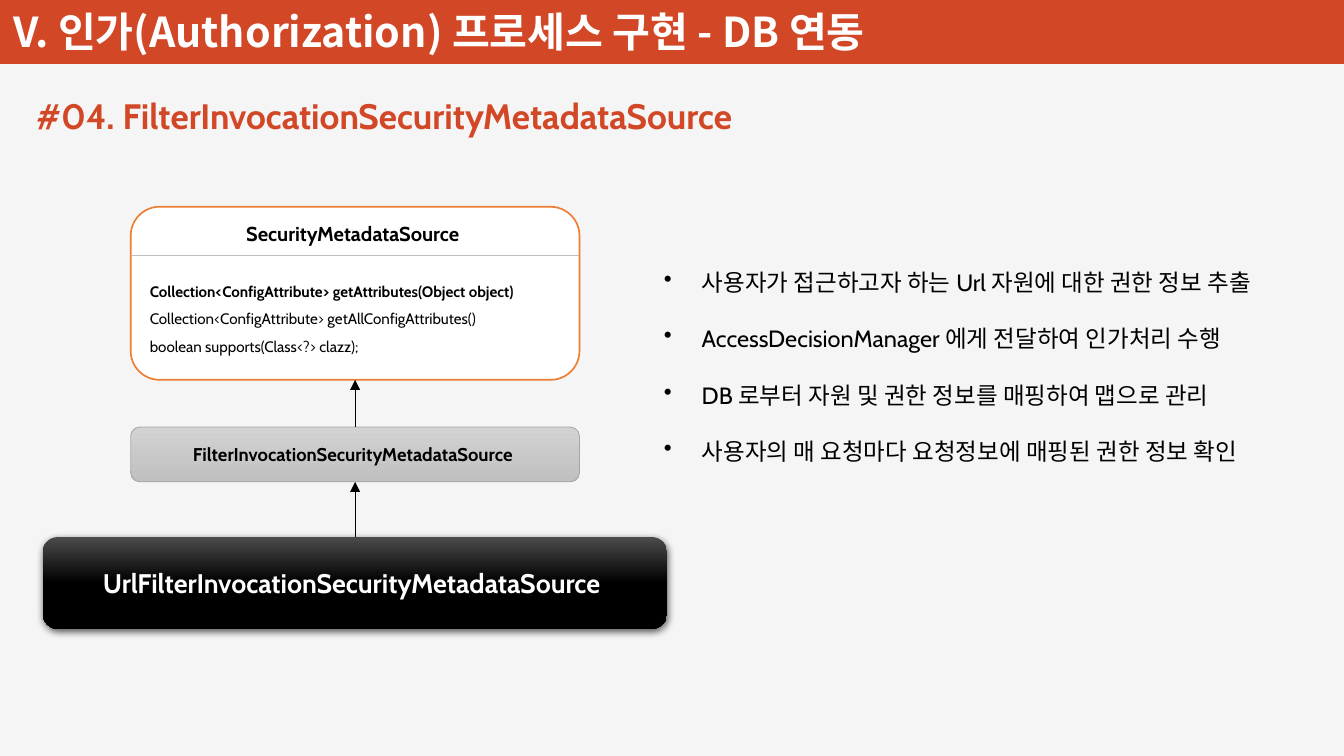
"""Build the slide on the FilterInvocationSecurityMetadataSource hierarchy."""
from lxml import etree
from pptx import Presentation
from pptx.dml.color import RGBColor
from pptx.enum.shapes import MSO_CONNECTOR, MSO_SHAPE
from pptx.enum.text import MSO_ANCHOR, MSO_AUTO_SIZE, PP_ALIGN
from pptx.oxml.ns import qn
from pptx.util import Pt

RECT, ROUNDED = MSO_SHAPE.RECTANGLE, MSO_SHAPE.ROUNDED_RECTANGLE
STRAIGHT = MSO_CONNECTOR.STRAIGHT
TOP, MIDDLE, BOTTOM = MSO_ANCHOR.TOP, MSO_ANCHOR.MIDDLE, MSO_ANCHOR.BOTTOM
LEFT, CENTER = PP_ALIGN.LEFT, PP_ALIGN.CENTER
FIXED = MSO_AUTO_SIZE.NONE

TITLE = "V. 인가(Authorization) 프로세스 구현 - DB 연동"
HEADING = "#04. FilterInvocationSecurityMetadataSource"
INTERFACE = "SecurityMetadataSource "
KEY_METHOD = "Collection<ConfigAttribute> getAttributes(Object object)"
OTHER_METHODS = [
    "Collection<ConfigAttribute> getAllConfigAttributes()",
    "boolean supports(Class<?> clazz);",
]
SUB_INTERFACE = "FilterInvocationSecurityMetadataSource "
IMPLEMENTATION = "UrlFilterInvocationSecurityMetadataSource "
DUTIES = [
    "사용자가 접근하고자 하는 Url 자원에 대한 권한 정보 추출",
    "AccessDecisionManager 에게 전달하여 인가처리 수행",
    "DB 로부터 자원 및 권한 정보를 매핑하여 맵으로 관리",
    "사용자의 매 요청마다 요청정보에 매핑된 권한 정보 확인",
]

THEME = {
    "latin": "Cabin", "korean": "Noto Sans CJK KR",
    "page": "F5F5F5", "accent": "D24726", "white": "FFFFFF", "ink": "000000",
    "outline": "ED7D31", "rule": "BFBFBF", "edge": "A5A5A5",
    "silver": [(0, "D2D2D2"), (1, "C0C0C0")],
    "coal": [(0, "4B4B4B"), (0.5, "000000")],
    "title": 24.5, "heading": 21, "implementation": 16, "duty": 14,
    "interface": 12, "sub": 11, "method": 9,
}

WIDTH, HEIGHT, BAND = 800, 450, 38
AXIS = 211.4
INTERFACE_BOX = (77.8, 123.1, 267.1, 103)
SUB_BOX = (77.8, 254.2, 267.1, 32.6)
IMPLEMENTATION_BOX = (25.4, 319.7, 371.6, 54.7)
RULE_Y = 151.9


def color(name):
    return RGBColor.from_string(THEME.get(name, name))


def apply(target, values):
    for key, value in values.items():
        setattr(target, key, value)


def write(frame, lines, size, ink="ink", bold=False, latin="latin",
          align=LEFT, spacing=None, bullet=False, **frame_values):
    apply(frame, {"word_wrap": True, "auto_size": FIXED,
                  "vertical_anchor": TOP, **frame_values})
    for line in lines:
        fresh = not frame.paragraphs[0].runs
        paragraph = frame.paragraphs[0] if fresh else frame.add_paragraph()
        apply(paragraph, {"alignment": align, "line_spacing": spacing})
        if bullet:
            properties = paragraph._p.get_or_add_pPr()
            properties.set("marL", str(Pt(22.5)))
            properties.set("indent", str(Pt(-22.5)))
            etree.SubElement(properties, qn("a:buChar"), char="•")
        run = paragraph.add_run()
        run.text = line
        apply(run.font, {"size": Pt(THEME[size]), "bold": bold, "name": THEME[latin]})
        run.font.color.rgb = color(ink)
        east_asian = etree.Element(qn("a:ea"), typeface=THEME["korean"])
        run.font._element.find(qn("a:latin")).addnext(east_asian)


def add_box(slide, kind, place, fill, line=None, weight=0.5):
    box = slide.shapes.add_shape(kind, *map(Pt, place))
    box.shadow.inherit = False
    if isinstance(THEME[fill], list):
        box.fill.gradient()
        box.fill.gradient_angle = 270
        for stop, (position, shade) in zip(box.fill.gradient_stops, THEME[fill]):
            stop.position = position
            stop.color.rgb = color(shade)
    else:
        box.fill.solid()
        box.fill.fore_color.rgb = color(fill)
    if line:
        box.line.color.rgb = color(line)
        box.line.width = Pt(weight)
    else:
        box.line.fill.background()
    return box


def add_text(slide, place, lines, size, **values):
    write(slide.shapes.add_textbox(*map(Pt, place)).text_frame, lines, size, **values)


def add_line(slide, start, end, ink, arrow=False):
    line = slide.shapes.add_connector(STRAIGHT, *map(Pt, start + end))
    line.line.color.rgb = color(ink)
    line.line.width = Pt(0.5)
    properties = line.element.spPr
    if arrow:
        etree.SubElement(properties.find(qn("a:ln")), qn("a:tailEnd"), type="triangle")
    etree.SubElement(properties, qn("a:effectLst"))


def add_glow(box):
    effects = box.element.spPr.find(qn("a:effectLst"))
    shadow = etree.SubElement(effects, qn("a:outerShdw"), blurRad=str(Pt(4.5)),
                              dist=str(Pt(1.5)), dir="5400000", rotWithShape="0")
    shade = etree.SubElement(shadow, qn("a:srgbClr"), val=THEME["ink"])
    etree.SubElement(shade, qn("a:alpha"), val="63000")


def add_header(slide):
    band = add_box(slide, RECT, (0, 0, WIDTH, BAND), "accent")
    title = slide.shapes.title
    title.element.addprevious(band.element)
    apply(title, {"left": Pt(0.7), "top": Pt(-7.2), "width": Pt(780), "height": Pt(43.9)})
    write(title.text_frame, [TITLE], "title", ink="white", bold=True,
          latin="korean", vertical_anchor=BOTTOM)
    add_text(slide, (14.4, 52.6, 464, 32.4), [HEADING], "heading", ink="accent", bold=True)


def add_hierarchy(slide):
    left, top, width, height = INTERFACE_BOX
    interface = add_box(slide, ROUNDED, INTERFACE_BOX, "white", "outline", 1)
    write(interface.text_frame, [INTERFACE], "interface", bold=True,
          align=CENTER, margin_top=Pt(3.7))
    add_line(slide, (left, RULE_Y), (left + width, RULE_Y), "rule")

    methods = slide.shapes.add_textbox(Pt(82.1), Pt(159.1), Pt(260.6), Pt(56.2)).text_frame
    write(methods, [KEY_METHOD], "method", bold=True, spacing=1.5)
    for method in OTHER_METHODS:
        write_after(methods, method)

    sub = add_box(slide, ROUNDED, SUB_BOX, "silver", "edge")
    write(sub.text_frame, [SUB_INTERFACE], "sub", bold=True,
          align=CENTER, vertical_anchor=MIDDLE)
    implementation = add_box(slide, ROUNDED, IMPLEMENTATION_BOX, "coal")
    add_glow(implementation)
    write(implementation.text_frame, [IMPLEMENTATION], "implementation", ink="white",
          bold=True, align=CENTER, vertical_anchor=MIDDLE)

    for child, parent in ((SUB_BOX, INTERFACE_BOX), (IMPLEMENTATION_BOX, SUB_BOX)):
        add_line(slide, (AXIS, child[1]), (AXIS, parent[1] + parent[3]), "ink", arrow=True)


def write_after(frame, method):
    write(frame, [method], "method", spacing=1.5)


def main():
    deck = Presentation()
    apply(deck, {"slide_width": Pt(WIDTH), "slide_height": Pt(HEIGHT)})
    slide = deck.slides.add_slide(deck.slide_layouts[5])
    slide.background.fill.solid()
    slide.background.fill.fore_color.rgb = color("page")
    add_header(slide)
    add_hierarchy(slide)
    add_text(slide, (388.1, 139, 399.6, 143.3), DUTIES, "duty", spacing=2.0, bullet=True)
    deck.save("out.pptx")


if __name__ == "__main__":
    main()
